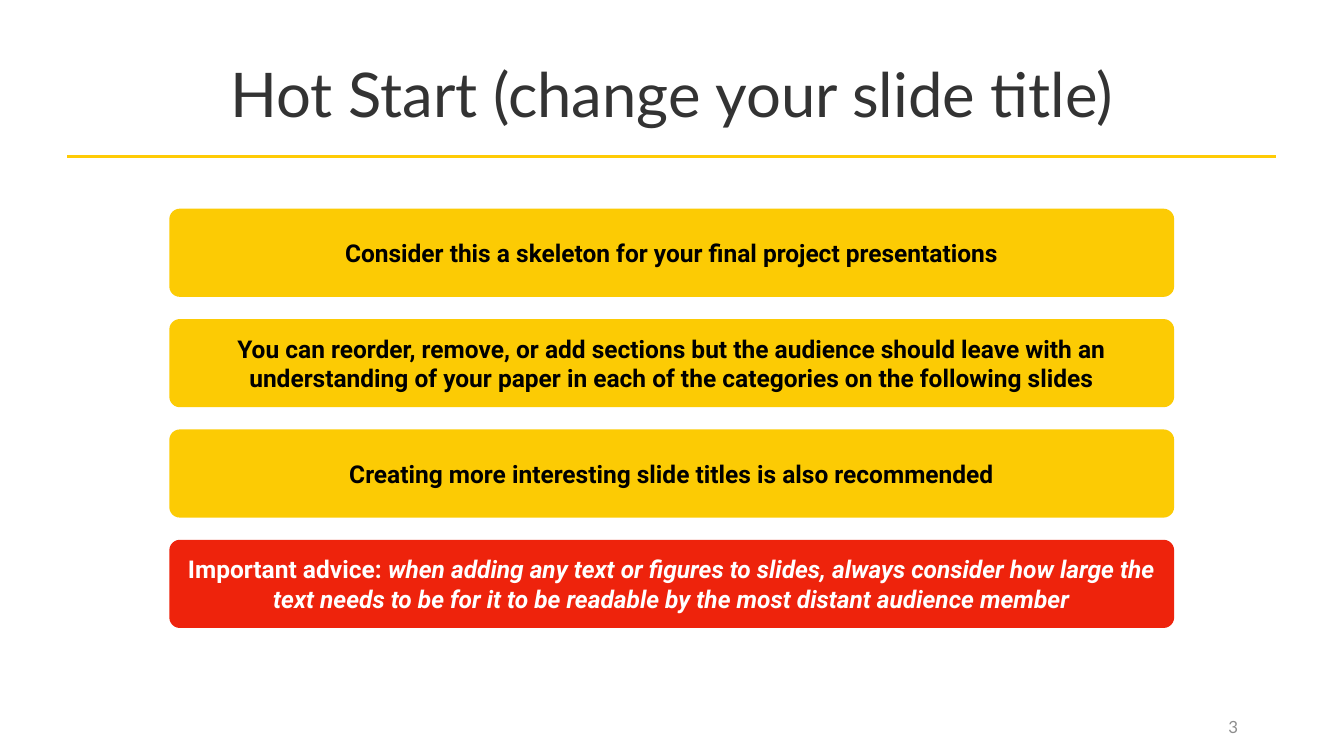
from lxml.etree import SubElement
from pptx import Presentation
from pptx.dml.color import RGBColor
from pptx.enum.shapes import MSO_CONNECTOR as Connector, MSO_SHAPE as Shape
from pptx.enum.text import MSO_ANCHOR as Anchor, MSO_AUTO_SIZE as AutoSize, PP_ALIGN as Align
from pptx.oxml.ns import qn
from pptx.util import Emu, Pt

# Content
TITLE = "Hot Start (change your slide title)"
PAGE_NUMBER = "3"
YELLOW, RED, BLACK, WHITE = "FCCB04", "EE230C", "000000", "FFFFFF"
# Each card: fill, text colour, runs of (text, italic)
CARDS = [
    (YELLOW, BLACK, [("Consider this a skeleton for your final project presentations", False)]),
    (YELLOW, BLACK, [("You can reorder, remove, or add sections but the audience should leave "
                      "with an understanding of your paper in each of the categories on the "
                      "following slides", False)]),
    (YELLOW, BLACK, [("Creating more interesting slide titles is also recommended", False)]),
    (RED, WHITE, [("Important advice: ", False),
                  ("when adding any text or figures to slides, always consider how large the "
                   "text needs to be for it to be readable by the most distant audience member",
                   True)]),
]

# Layout, 100 px to the inch
SLIDE_W, SLIDE_H = 2667, 1500
RULE_LEFT, RULE_RIGHT, RULE_Y = 133, 2533, 310
CARD_LEFT, CARD_TOP, CARD_W, CARD_H, CARD_STEP = 336, 414, 1994, 175, 219


def px(length):
    return Emu(length * 9144)


def colour(value):
    return RGBColor.from_string(value)


def set_frame(frame, anchor, inset, wrap=True, auto_size=AutoSize.NONE):
    formats = {"auto_size": auto_size, "word_wrap": wrap, "vertical_anchor": anchor}
    for side in ("left", "top", "right", "bottom"):
        formats[f"margin_{side}"] = px(inset)
    for name, value in formats.items():
        setattr(frame, name, value)


def add_run(paragraph, text, ink, **formats):
    paragraph.alignment = Align.CENTER
    run = paragraph.add_run()
    run.text = text
    run.font.color.rgb = colour(ink)
    for name, value in formats.items():
        setattr(run.font, name, value)


def main():
    deck = Presentation()
    deck.slide_width, deck.slide_height = px(SLIDE_W), px(SLIDE_H)
    slide = deck.slides.add_slide(deck.slide_layouts[5])

    # Title
    title = slide.shapes.title
    title.left, title.top, title.width, title.height = map(px, (133, 60, 2400, 250))
    set_frame(title.text_frame, Anchor.MIDDLE, 10)
    add_run(title.text_frame.paragraphs[0], TITLE, "333333", name="Lato", size=Pt(88))

    # Rule under the title
    rule = slide.shapes.add_connector(
        Connector.STRAIGHT, px(RULE_LEFT), px(RULE_Y), px(RULE_RIGHT), px(RULE_Y))
    rule.line.color.rgb = colour("FFCB05")
    rule.line.width = Pt(4)
    SubElement(rule._element.spPr, qn("a:effectLst"))

    # Cards
    for row, (fill, ink, runs) in enumerate(CARDS):
        card = slide.shapes.add_shape(
            Shape.ROUNDED_RECTANGLE, px(CARD_LEFT), px(CARD_TOP + row * CARD_STEP),
            px(CARD_W), px(CARD_H))
        card.adjustments[0] = 0.12
        card.shadow.inherit = False
        card.fill.solid()
        card.fill.fore_color.rgb = colour(fill)
        card.line.fill.background()
        set_frame(card.text_frame, Anchor.MIDDLE, 6)
        for text, italic in runs:
            add_run(card.text_frame.paragraphs[0], text, ink,
                    name="Roboto", size=Pt(35), bold=True, italic=italic)

    # Page number
    page = slide.shapes.add_textbox(px(2427), px(1413), px(40), px(60))
    set_frame(page.text_frame, Anchor.BOTTOM, 10, wrap=False,
              auto_size=AutoSize.SHAPE_TO_FIT_TEXT)
    add_run(page.text_frame.paragraphs[0], PAGE_NUMBER, "8D8D8D", name="Lato", size=Pt(24))

    deck.save("out.pptx")


if __name__ == "__main__":
    main()
